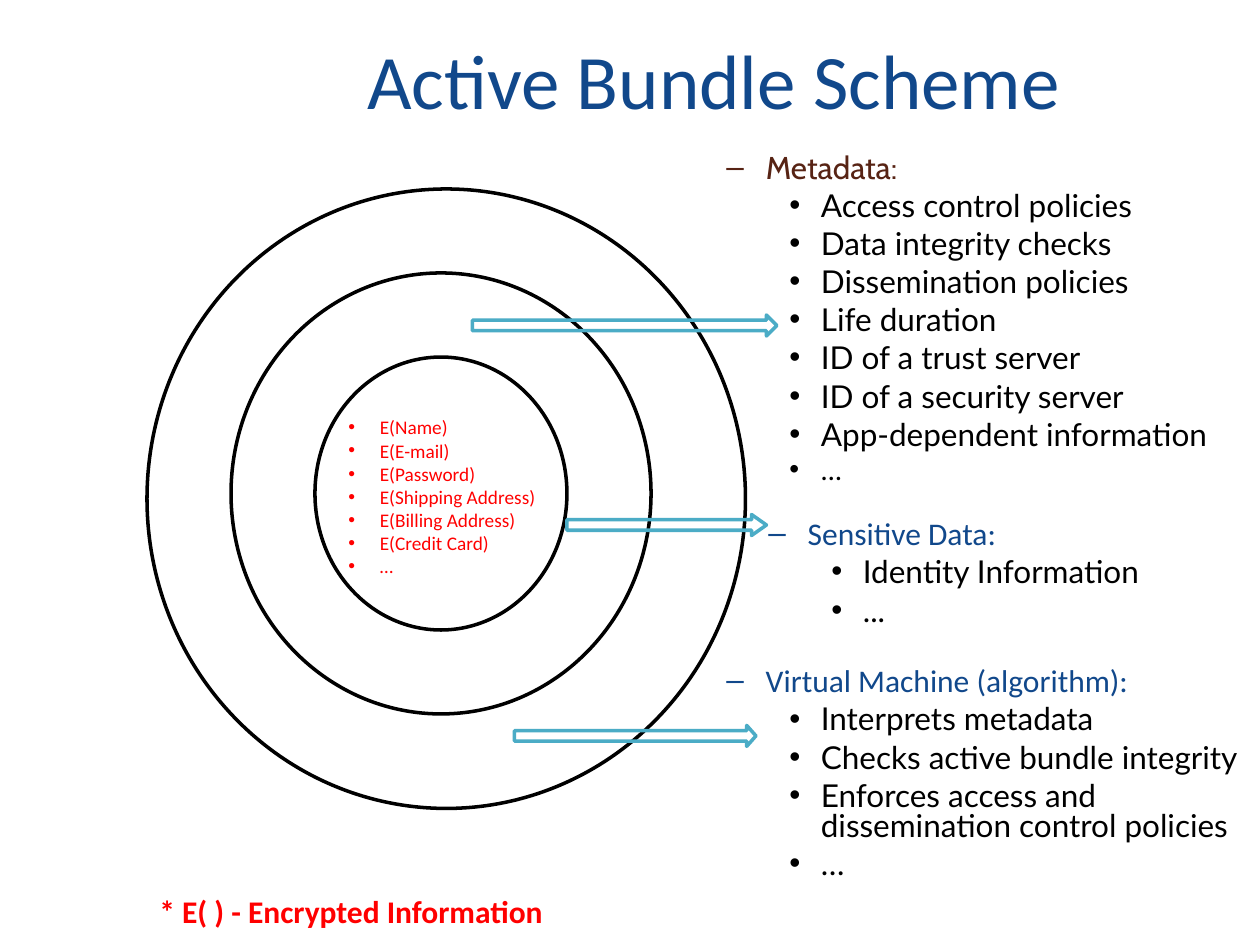
"""Build the Active Bundle Scheme slide."""
import pptx
import pptx.util
import pptx.dml.color
import pptx.enum.shapes
import pptx.enum.text
import pptx.oxml.ns
import lxml.etree

Pt = pptx.util.Pt
SHAPE = pptx.enum.shapes.MSO_SHAPE
BLUE, BROWN, BLACK, RED, TEAL = "11488B", "572314", "000000", "FF0000", "4BACC6"

RINGS = [(84, 108, 342, 354), (132, 156, 240, 252), (180, 204, 144, 156)]
ARROWS = [(270, 180, 174, 0.5), (324, 294, 114, 0.71), (294, 414.5, 138, 0.44)]
TOPICS = [
    ((372, 85, 384, 210), "Metadata:", "Cabin", BROWN,
     ["Access control policies", "Data integrity checks", "Dissemination policies",
      "Life duration", "ID of a trust server", "ID of a security server",
      "App-dependent information", "…"], 16),
    ((396, 294.5, 282, 90), "Sensitive Data:", "Calibri", BLUE,
     ["Identity Information", "..."], 18),
    ((372, 378.5, 360, 129), "Virtual Machine (algorithm):", "Calibri", BLUE,
     ["Interprets metadata", "Checks active bundle integrity",
      "Enforces access and dissemination control policies", "…"], 18),
]
FIELDS = ["E(Name)", "E(E-mail)", "E(Password)", "E(Shipping Address)",
          "E(Billing Address)", "E(Credit Card)", "…"]


def tint(item, code):
    """Give a fill or a font colour its hex value."""
    item.rgb = pptx.dml.color.RGBColor.from_string(code)


def draw(slide, kind, box, line, fill=None):
    """Add an outlined shape, filled only if a colour is given."""
    shape = slide.shapes.add_shape(kind, *map(Pt, box))
    shape.shadow.inherit = False
    if fill:
        shape.fill.solid()
        tint(shape.fill.fore_color, fill)
    else:
        shape.fill.background()
    tint(shape.line.color, line)
    shape.line.width = Pt(2)
    return shape


def write(slide, box, lines):
    """Add a wrapped text box with one paragraph per line."""
    frame = slide.shapes.add_textbox(*map(Pt, box)).text_frame
    frame.word_wrap = True
    frame.text = "\n".join(lines)
    return frame


def style(para, size, face, code, bold=False):
    """Format the runs of a paragraph."""
    for run in para.runs:
        run.font.size = Pt(size)
        run.font.name = face
        run.font.bold = bold
        tint(run.font.color, code)


def mark(para, sign, code, left, hang):
    """Give a paragraph a coloured bullet and a hanging indent."""
    props = para._p.get_or_add_pPr()
    props.set("marL", str(Pt(left)))
    props.set("indent", str(Pt(-hang)))
    qn = pptx.oxml.ns.qn
    tone = lxml.etree.SubElement(props, qn("a:buClr"))
    lxml.etree.SubElement(tone, qn("a:srgbClr"), val=code)
    lxml.etree.SubElement(props, qn("a:buFont"), typeface="Arial")
    lxml.etree.SubElement(props, qn("a:buChar"), char=sign)


def topic(slide, box, head, face, code, items, last):
    """Add a dashed heading with its bulleted items."""
    first, *rest = write(slide, box, [head] + items).paragraphs
    first.level = 1
    first.line_spacing = 0.8
    mark(first, "–", code, 58.5, 22.5)
    style(first, 18, face, code)
    for para in rest:
        size = last if para is rest[-1] else 18
        para.level = 2
        para.line_spacing = 0.8
        para.space_before = Pt(size / 4)
        mark(para, "•", BLACK, 90, 18)
        style(para, size, "Lato", BLACK)


def main():
    """Build and save the slide."""
    deck = pptx.Presentation()
    deck.slide_width, deck.slide_height = Pt(720), Pt(540)
    slide = deck.slides.add_slide(deck.slide_layouts[6])

    title = write(slide, (113, 0, 590, 90), ["Active Bundle Scheme"])
    title.vertical_anchor = pptx.enum.text.MSO_ANCHOR.MIDDLE
    title.paragraphs[0].alignment = pptx.enum.text.PP_ALIGN.CENTER
    style(title.paragraphs[0], 44, "Calibri", BLUE)

    for box in RINGS:
        draw(slide, SHAPE.OVAL, box, BLACK, "FFFFFF")
    for left, top, width, tip in ARROWS:
        arrow = draw(slide, SHAPE.RIGHT_ARROW, (left, top, width, 12), TEAL)
        arrow.adjustments[1] = tip
    for row in TOPICS:
        topic(slide, *row)

    for para in write(slide, (192, 234, 144, 100), FIELDS).paragraphs:
        mark(para, "•", RED, 18, 18)
        style(para, 11, "Calibri", RED)

    note = write(slide, (84, 506, 276, 29), ["* E( ) - Encrypted Information"])
    style(note.paragraphs[0], 18, "Calibri", RED, True)
    deck.save("out.pptx")


if __name__ == "__main__":
    main()
